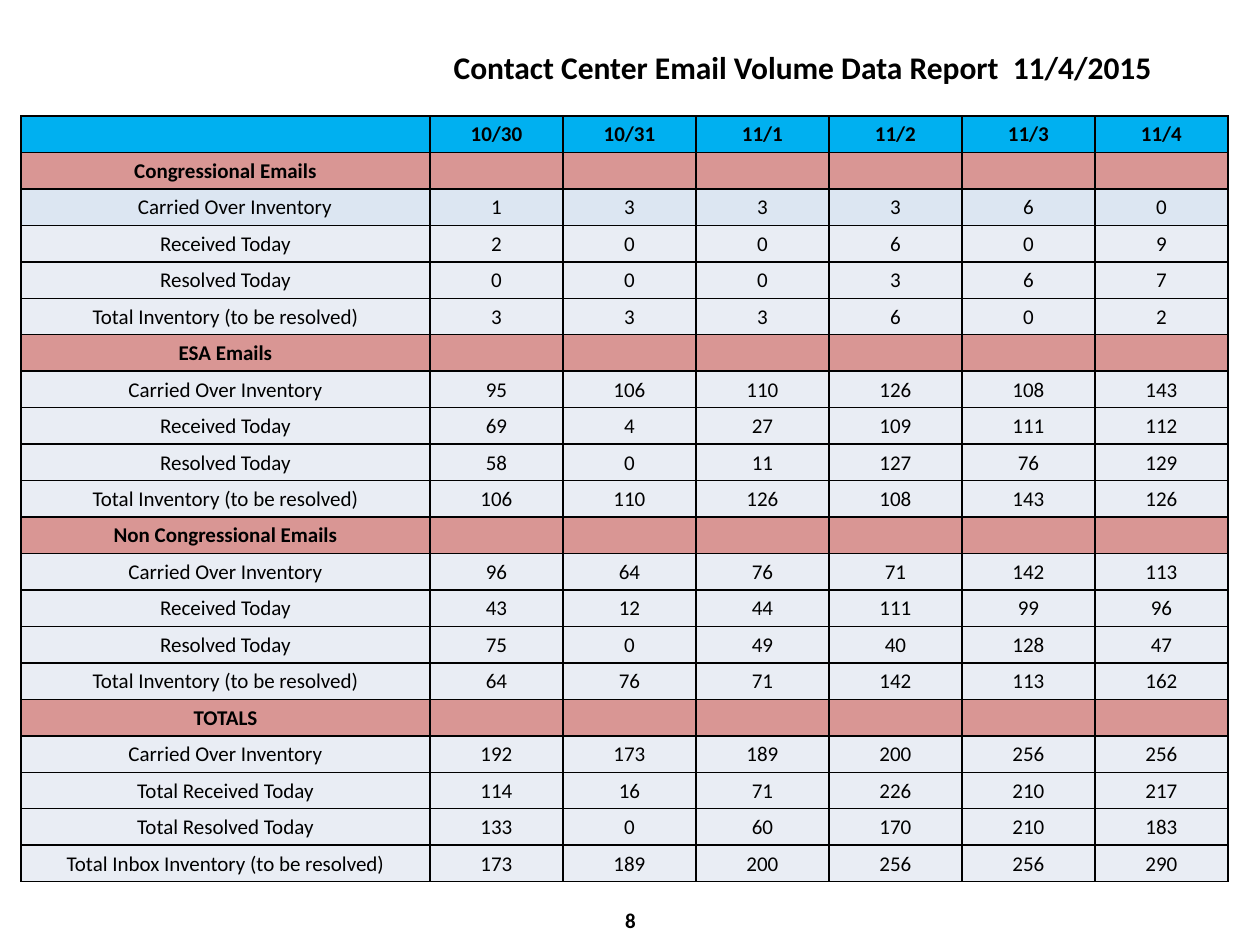
import pptx
import pptx.util
import pptx.dml.color
import pptx.enum.text
import pptx.oxml.ns
import lxml.etree

RGBColor = pptx.dml.color.RGBColor
BLACK = RGBColor(0x00, 0x00, 0x00)
HEADER_BLUE = RGBColor(0x00, 0xB0, 0xF0)
SECTION_RED = RGBColor(0xD9, 0x96, 0x94)
FIRST_ROW_BLUE = RGBColor(0xDC, 0xE6, 0xF2)
ROW_GREY = RGBColor(0xE9, 0xED, 0xF4)

FONT = "Calibri"
ALIGN = pptx.enum.text.PP_ALIGN
ANCHOR = pptx.enum.text.MSO_ANCHOR
EMU_PER_PIXEL = 914400 / 126

DATES = ["10/30", "10/31", "11/1", "11/2", "11/3", "11/4"]
CARRIED = "Carried Over Inventory"
EMAIL_LABELS = [CARRIED, "Received Today", "Resolved Today",
                "Total Inventory (to be resolved)"]
TOTAL_LABELS = [CARRIED, "Total Received Today", "Total Resolved Today",
                "Total Inbox Inventory (to be resolved)"]
SECTIONS = [
    ("Congressional Emails", EMAIL_LABELS, [
        [1, 3, 3, 3, 6, 0],
        [2, 0, 0, 6, 0, 9],
        [0, 0, 0, 3, 6, 7],
        [3, 3, 3, 6, 0, 2]]),
    ("ESA Emails", EMAIL_LABELS, [
        [95, 106, 110, 126, 108, 143],
        [69, 4, 27, 109, 111, 112],
        [58, 0, 11, 127, 76, 129],
        [106, 110, 126, 108, 143, 126]]),
    ("Non Congressional Emails", EMAIL_LABELS, [
        [96, 64, 76, 71, 142, 113],
        [43, 12, 44, 111, 99, 96],
        [75, 0, 49, 40, 128, 47],
        [64, 76, 71, 142, 113, 162]]),
    ("TOTALS", TOTAL_LABELS, [
        [192, 173, 189, 200, 256, 256],
        [114, 16, 71, 226, 210, 217],
        [133, 0, 60, 170, 210, 183],
        [173, 189, 200, 256, 256, 290]]),
]


def px(pixels):
    return pptx.util.Emu(round(pixels * EMU_PER_PIXEL))


def format_text(text_frame, size, bold, alignment):
    paragraph = text_frame.paragraphs[0]
    paragraph.alignment = alignment
    for run in paragraph.runs:
        run.font.name = FONT
        run.font.size = pptx.util.Pt(size)
        run.font.bold = bold
        run.font.color.rgb = BLACK


def place(shape, left, top, width, height):
    shape.left, shape.top = px(left), px(top)
    shape.width, shape.height = px(width), px(height)


def add_title(slide, text):
    title = slide.shapes.title
    place(title, 441, 42, 809, 50)
    title.text_frame.text = text
    title.text_frame.vertical_anchor = ANCHOR.TOP
    format_text(title.text_frame, 18, True, ALIGN.LEFT)


def add_page_number(slide, text):
    box = slide.shapes.add_textbox(px(431), px(895), px(399), px(50))
    box.text_frame.word_wrap = True
    box.text_frame.text = text
    box.text_frame.vertical_anchor = ANCHOR.MIDDLE
    format_text(box.text_frame, 12, True, ALIGN.CENTER)


def set_borders(cell):
    properties = cell._tc.get_or_add_tcPr()
    qn = pptx.oxml.ns.qn
    for index, side in enumerate(("a:lnL", "a:lnR", "a:lnT", "a:lnB")):
        line = lxml.etree.Element(qn(side), w=str(pptx.util.Pt(1)))
        fill = lxml.etree.SubElement(line, qn("a:solidFill"))
        lxml.etree.SubElement(fill, qn("a:srgbClr"), val=str(BLACK))
        properties.insert(index, line)


def fill_cell(cell, text, color, bold):
    cell.fill.solid()
    cell.fill.fore_color.rgb = color
    cell.margin_left = cell.margin_right = cell.margin_top = px(1)
    cell.margin_bottom = 0
    cell.vertical_anchor = ANCHOR.MIDDLE
    cell.text_frame.text = text
    format_text(cell.text_frame, 12, bold, ALIGN.CENTER)
    if not text:
        # An empty cell keeps the row low only with a small end mark
        lxml.etree.SubElement(cell.text_frame.paragraphs[0]._p,
                              pptx.oxml.ns.qn("a:endParaRPr"), sz="1200")
    set_borders(cell)


def table_rows():
    """List each row as its texts, fill colour and weight."""
    rows = [([""] + DATES, HEADER_BLUE, True)]
    for name, labels, values in SECTIONS:
        rows.append(([name] + [""] * len(DATES), SECTION_RED, True))
        for label, numbers in zip(labels, values):
            first = len(rows) == 2
            rows.append(([label] + [str(number) for number in numbers],
                         FIRST_ROW_BLUE if first else ROW_GREY, False))
    return rows


def add_volume_table(slide):
    rows = table_rows()
    frame = slide.shapes.add_table(len(rows), len(DATES) + 1,
                                   px(21), px(116), px(1207), px(766))
    table = frame.table
    for index, column in enumerate(table.columns):
        column.width = px(133 if index else 409)
    for row_index, (texts, color, bold) in enumerate(rows):
        table.rows[row_index].height = px(766 / len(rows))
        for column_index, text in enumerate(texts):
            fill_cell(table.cell(row_index, column_index), text, color, bold)
    # The first detail label is slightly indented
    table.cell(2, 0).margin_left = px(20)


def main():
    presentation = pptx.Presentation()
    presentation.slide_width, presentation.slide_height = px(1260), px(945)
    slide = presentation.slides.add_slide(presentation.slide_layouts[5])
    add_page_number(slide, "8")
    add_title(slide, "Contact Center Email Volume Data Report  11/4/2015")
    add_volume_table(slide)
    presentation.save("out.pptx")


main()
